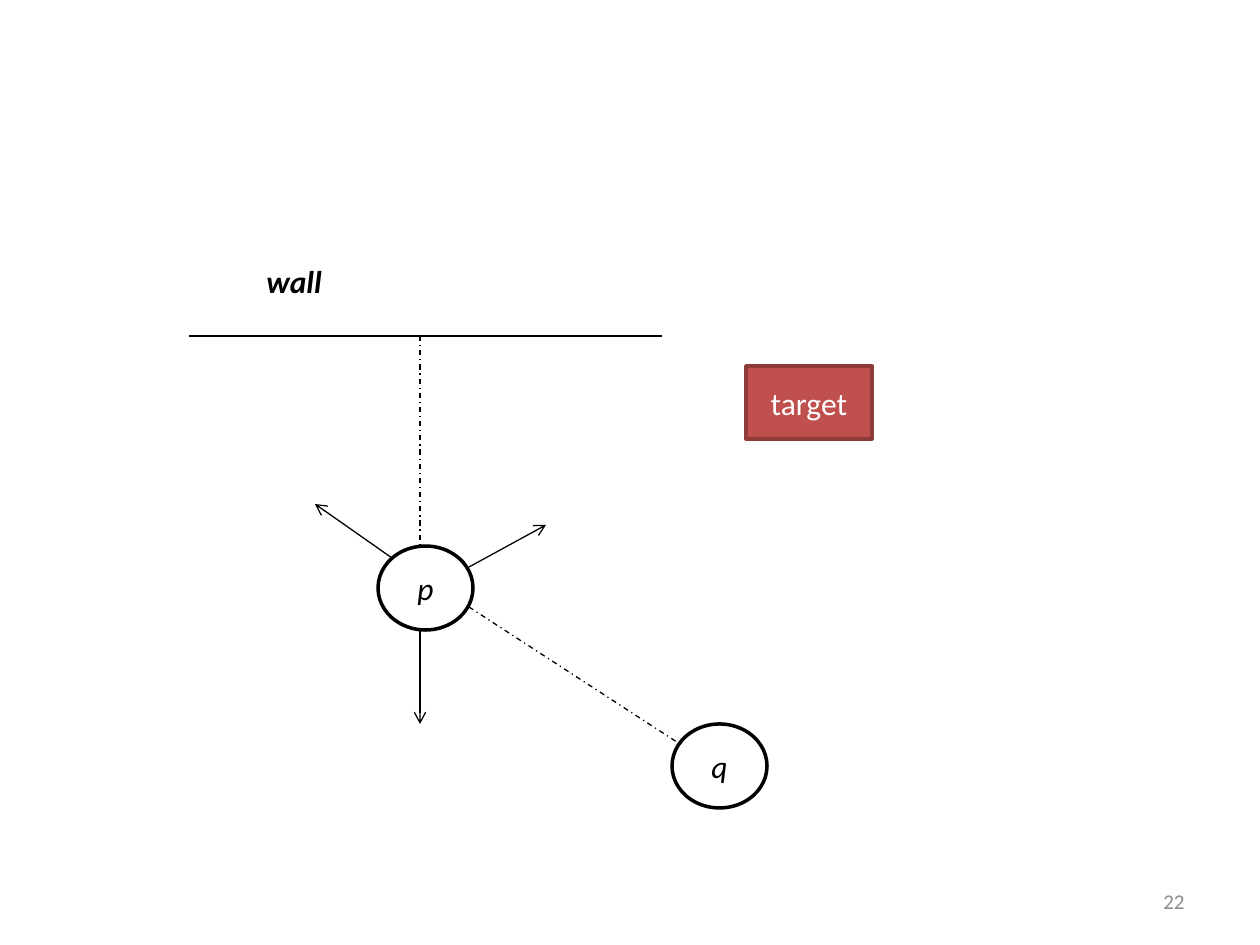
from dataclasses import dataclass

from lxml import etree
from pptx import Presentation
from pptx.dml.color import RGBColor
from pptx.enum.dml import MSO_LINE
from pptx.enum.shapes import MSO_CONNECTOR, MSO_SHAPE
from pptx.enum.text import MSO_ANCHOR, MSO_AUTO_SIZE, PP_ALIGN
from pptx.oxml.ns import qn
from pptx.util import Emu, Pt

EMU_PER_PX = 914400 / 126


@dataclass(frozen=True)
class Theme:
    font: str = "Calibri"
    ink: str = "000000"
    paper: str = "FFFFFF"
    target: str = "C0504D"
    target_edge: str = "8E3B39"
    muted: str = "8C8C8C"
    label_size: float = 18
    number_size: float = 12
    outline: float = 2
    thin: float = 0.75


THEME = Theme()


def px(length):
    return Emu(round(length * EMU_PER_PX))


def rgb(colour):
    return RGBColor.from_string(colour)


def write(frame, words, colour=THEME.ink, size=THEME.label_size,
          align=PP_ALIGN.LEFT, anchor=MSO_ANCHOR.MIDDLE, bold=False, italic=False):
    frame.word_wrap = True
    frame.vertical_anchor = anchor
    paragraph = frame.paragraphs[0]
    paragraph.alignment = align
    run = paragraph.add_run()
    run.text = words
    font = run.font
    font.name, font.size = THEME.font, Pt(size)
    font.bold, font.italic = bold, italic
    font.color.rgb = rgb(colour)


def add_label(slide, box, words, **style):
    label = slide.shapes.add_textbox(*map(px, box))
    write(label.text_frame, words, **style)
    return label


def add_node(slide, kind, box, words, fill, edge, colour, italic=False):
    node = slide.shapes.add_shape(kind, *map(px, box))
    node.shadow.inherit = False
    node.fill.solid()
    node.fill.fore_color.rgb = rgb(fill)
    node.line.color.rgb = rgb(edge)
    node.line.width = Pt(THEME.outline)
    write(node.text_frame, words, colour, align=PP_ALIGN.CENTER, italic=italic)


def add_agent(slide, left, top, name):
    add_node(slide, MSO_SHAPE.OVAL, (left, top, 95, 84), name,
             THEME.paper, THEME.ink, THEME.ink, italic=True)


def add_line(slide, start, end, dash=None, arrow=False):
    line = slide.shapes.add_connector(MSO_CONNECTOR.STRAIGHT, *map(px, start + end))
    line.line.color.rgb = rgb(THEME.ink)
    line.line.width = Pt(THEME.thin)
    if dash:
        line.line.dash_style = dash
    if arrow:
        etree.SubElement(line.line._get_or_add_ln(), qn("a:tailEnd"), type="arrow")
    etree.SubElement(line._element.spPr, qn("a:effectLst"))


def main():
    deck = Presentation()
    deck.slide_width, deck.slide_height = px(1260), px(945)
    slide = deck.slides.add_slide(deck.slide_layouts[6])

    add_label(slide, (903, 876, 294, 50), "22", colour=THEME.muted,
              size=THEME.number_size, align=PP_ALIGN.RIGHT)
    add_agent(slide, 378, 546, "p")
    add_line(slide, (189, 336), (662, 336))
    add_node(slide, MSO_SHAPE.RECTANGLE, (746, 366, 126, 73), "target",
             THEME.target, THEME.target_edge, THEME.paper)
    wall = add_label(slide, (254, 256, 126, 50), "wall",
                     anchor=MSO_ANCHOR.TOP, bold=True, italic=True)
    wall.text_frame.auto_size = MSO_AUTO_SIZE.SHAPE_TO_FIT_TEXT
    add_agent(slide, 672, 724, "q")

    distances = [((469, 607), (683, 746)), ((420, 336), (420, 546))]
    for start, end in distances:
        add_line(slide, start, end, dash=MSO_LINE.DASH_DOT)

    forces = [((392, 558), (315, 504)), ((420, 630), (420, 724)),
              ((469, 567), (546, 525))]
    for start, end in forces:
        add_line(slide, start, end, arrow=True)

    deck.save("out.pptx")


if __name__ == "__main__":
    main()
